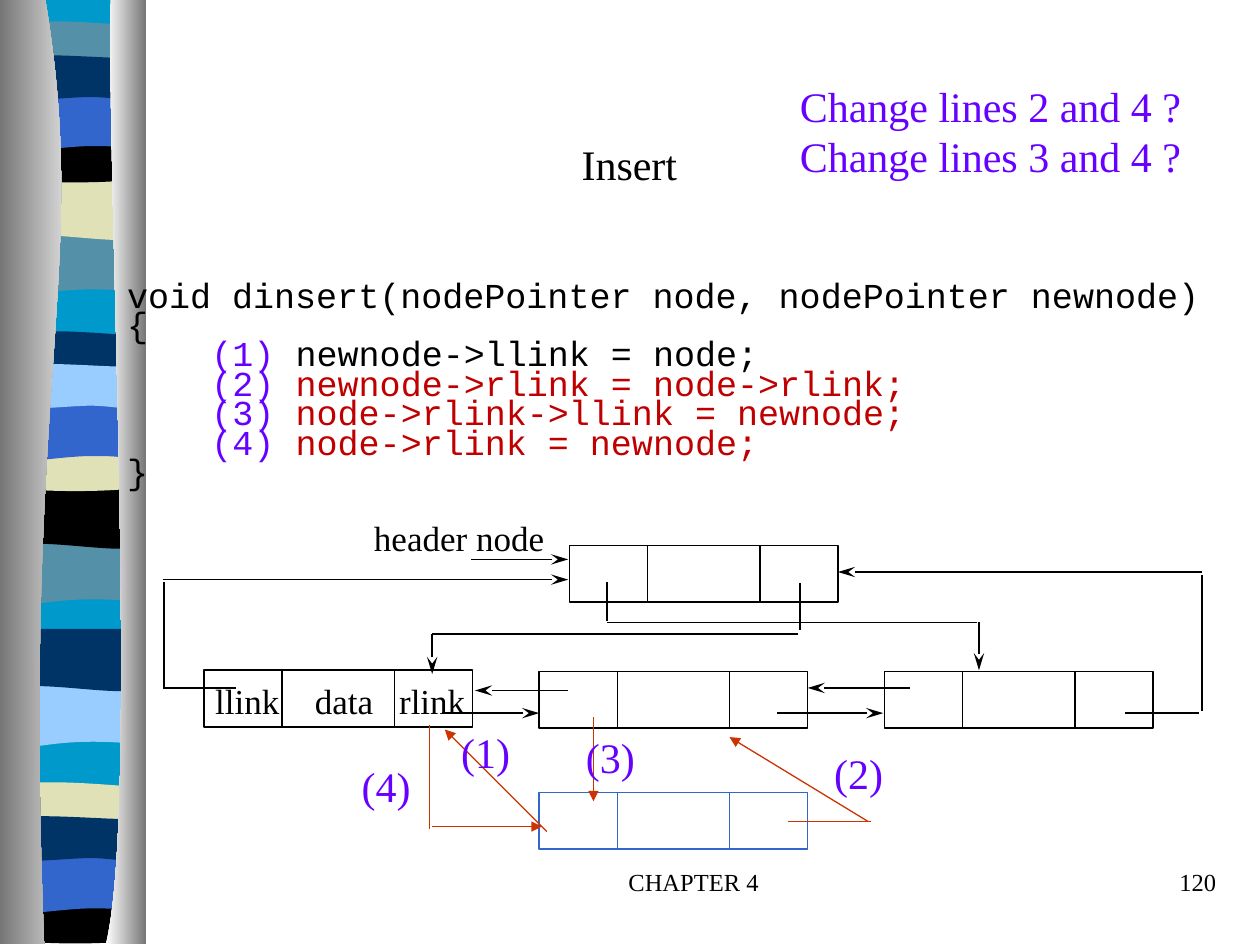
"""Build the slide on inserting a node into a doubly linked circular list."""
from lxml.etree import SubElement
from pptx import Presentation
from pptx.dml.color import RGBColor
from pptx.enum.shapes import MSO_CONNECTOR, MSO_SHAPE
from pptx.enum.text import MSO_ANCHOR, PP_ALIGN
from pptx.oxml.ns import qn
from pptx.util import Inches, Pt

BLACK = RGBColor(0x00, 0x00, 0x00)
WHITE = RGBColor(0xFF, 0xFF, 0xFF)
GRAY = RGBColor(0x76, 0x76, 0x76)
VIOLET = RGBColor(0x66, 0x00, 0xFF)
RED = RGBColor(0xC0, 0x00, 0x00)
RUST = RGBColor(0xCC, 0x33, 0x00)
CYAN = RGBColor(0x00, 0x99, 0xCC)
TEAL = RGBColor(0x54, 0x90, 0xA8)
CREAM = RGBColor(0xE1, 0xE1, 0xB7)
BLUE = RGBColor(0x33, 0x66, 0xCC)
NAVY = RGBColor(0x00, 0x33, 0x66)
SKY = RGBColor(0x99, 0xCC, 0xFF)

SERIF, MONO = "Times New Roman", "Courier New"
WIDTH, HEIGHT = Inches(10), Inches(7.5)
COLUMN, ROW = WIDTH / 10, HEIGHT / 7.5

LEFT, RIGHT = 0.05, 1.14
WAVES = [
    [(RIGHT, 0), (RIGHT, 0.47), (0.39, 0.39, 0.24, 0.55, LEFT, 0.47), (LEFT, 0)],
    [(RIGHT, 0), (RIGHT, 0.47), (0.96, 0.55, 0.39, 0.41, LEFT, 0.47), (LEFT, 0)],
    [(RIGHT, 0), (RIGHT, 0.24), (0.96, 0.29, 0.24, 0.29, LEFT, 0.24), (LEFT, 0),
     (0.12, -0.05, 0.29, -0.04, 0.47, -0.04), (0.65, -0.04, 1, -0.01, RIGHT, 0)],
    [(RIGHT, 0), (RIGHT, 0.33), (0.96, 0.38, 0.24, 0.38, LEFT, 0.33), (LEFT, 0),
     (0.72, 0.05, 0.91, 0, RIGHT, 0)],
    [(RIGHT, 0), (RIGHT, 0.47), (0.97, 0.42, 0.9, 0.42, 0.72, 0.42),
     (0.54, 0.42, 0.22, 0.47, LEFT, 0.47), (LEFT, 0)],
    [(RIGHT, 0), (RIGHT, 0.31), (1.07, 0.36, 0.9, 0.31, 0.72, 0.31),
     (0.54, 0.31, 0.17, 0.36, LEFT, 0.31), (LEFT, 0), (0.21, -0.05, 0.79, 0, 0.97, 0),
     (1.15, 0, 1.1, 0, RIGHT, 0)],
]
STRIPES = [
    [(1.85, TEAL), (1.41, CREAM), (0.21, TEAL), (1.08, BLACK), (0.74, BLUE), (0.46, NAVY)],
    [(4.31, TEAL), (3.86, BLACK), (2.67, NAVY), (3.53, CREAM), (3.2, BLUE), (2.91, SKY)],
    [(5.44, SKY), (4.99, NAVY), (6.25, CREAM), (7.12, BLACK), (6.79, BLUE), (6.5, NAVY)],
]
BACKDROP = [(RIGHT, 0), (RIGHT, 7.47), (LEFT, 7.47), (LEFT, 0)]
PILLARS = [
    ([(0.36, 0), (0.72, 2.16, 0.17, 2.96, 0.35, 7.49), (0, 7.49), (0, 0)], (GRAY, WHITE)),
    ([(0.88, 0), (0.84, 1.25, 1.11, 6.46, 0.84, 7.49), (1.16, 7.49), (1.16, 0)], (WHITE, GRAY)),
]

NODE_WIDTH, NODE_HEIGHT, DIVIDERS = 2.13, 0.45, (0.62, 1.51)
NODES = [(1.62, 5.32, BLACK), (4.28, 5.33, BLACK), (7.02, 5.33, BLACK),
         (4.52, 4.33, BLACK), (4.28, 6.29, BLUE)]
LINKS = [
    ((3.51, 5.66), (4.28, 5.66), True), ((4.51, 5.48), (3.77, 5.48), True),
    ((6.17, 5.66), (7.01, 5.66), True), ((7.22, 5.46), (6.41, 5.46), True),
    ((8.93, 5.66), (9.52, 5.66), False), ((9.54, 5.64), (9.54, 4.56), False),
    ((9.54, 4.54), (6.65, 4.54), True), ((1.87, 5.46), (1.29, 5.46), False),
    ((1.3, 5.46), (1.3, 4.62), False), ((1.29, 4.6), (4.51, 4.6), True),
    ((3.74, 4.44), (4.51, 4.44), True), ((6.35, 4.63), (6.35, 5), False),
    ((3.43, 5.03), (6.33, 5.03), False), ((3.43, 5.03), (3.43, 5.35), True),
    ((4.82, 4.62), (4.82, 4.93), False), ((4.82, 4.94), (7.75, 4.94), False),
    ((7.77, 4.94), (7.77, 5.32), True),
]
NEW_LINKS = [
    ((6.25, 6.52), (6.91, 6.52), False), ((6.89, 6.52), (5.79, 5.85), True),
    ((4.71, 5.69), (4.71, 6.36), True), ((4.34, 6.6), (3.53, 5.79), True),
    ((3.41, 5.75), (3.41, 6.58), False), ((3.43, 6.56), (4.3, 6.56), True),
]
STEALTH = {"type": "stealth", "w": "med", "len": "lg"}
TRIANGLE = {"type": "triangle"}

FIELDS = "llink\tdata\trlink"
FIELD_STOPS = (0.79, 1.46)
CODE_INDENT = 0.67
CODE = [
    [("void dinsert(nodePointer node, nodePointer newnode)", BLACK)],
    [("{", BLACK)],
    [("(1) ", VIOLET), ("newnode->llink = node;", BLACK)],
    [("(2) ", VIOLET), ("newnode->rlink = node->rlink;", RED)],
    [("(3) ", VIOLET), ("node->rlink->llink = newnode;", RED)],
    [("(4) ", VIOLET), ("node->rlink = newnode;", RED)],
    [("}", BLACK)],
]
CENTER, END, START = PP_ALIGN.CENTER, PP_ALIGN.RIGHT, PP_ALIGN.LEFT
TEXTS = [
    ((3.92, 6.83, 3.17, 0.5), ["CHAPTER 4"], 14, BLACK, CENTER, {}),
    ((7.67, 6.83, 2.08, 0.5), ["120"], 14, BLACK, END, {}),
    ((0.39, 0.67, 9.21, 1.25), ["Insert"], 24, BLACK, CENTER,
     {"vertical_anchor": MSO_ANCHOR.MIDDLE}),
    ((2.87, 4.05, 1.57, 0.44), ["header node"], 20, BLACK, START, {"word_wrap": False}),
    ((6.25, 0.59, 3.26, 0.91), ["Change lines 2 and 4 ?", "Change lines 3 and 4 ?"],
     24, VIOLET, START, {"word_wrap": False}),
]
STEPS = [("(2)", 6.52, 5.88), ("(4)", 2.77, 5.99), ("(1)", 3.56, 5.72), ("(3)", 4.55, 5.76)]


def place(left, top, *size):
    return [round(value * unit) for value, unit in zip((left, top, *size), (COLUMN, ROW) * 2)]


def set_all(target, values):
    for attribute, value in values.items():
        setattr(target, attribute, value)


def bend(band, segments):
    """Join the three points of each six-number segment into one cubic curve."""
    legs = iter(list(band._element.iter(qn("a:lnTo"))))
    for segment in segments:
        group = [next(legs) for _ in range(len(segment) // 2)]
        if len(group) == 3:
            group[0].tag = qn("a:cubicBezTo")
            for leg in group[1:]:
                group[0].append(leg[0])
                leg.getparent().remove(leg)


def add_outline(shapes, outline, colors, top=0):
    start, *segments = outline
    points = [place(segment[i], segment[i + 1] + top)
              for segment in segments for i in range(0, len(segment), 2)]
    builder = shapes.build_freeform(*place(start[0], start[1] + top), scale=1.0)
    builder.add_line_segments(points, close=True)
    band = builder.convert_to_shape()
    bend(band, segments)
    band.shadow.inherit = False
    band.line.fill.background()
    if len(colors) == 1:
        band.fill.solid()
        band.fill.fore_color.rgb = colors[0]
        return
    band.fill.gradient()
    band.fill.gradient_angle = 0
    for stop, color in zip(band.fill.gradient_stops, colors):
        stop.color.rgb = color


def add_line(shapes, start, end, color, width=1, arrow=None):
    link = shapes.add_connector(MSO_CONNECTOR.STRAIGHT, *place(*start), *place(*end))
    link.line.color.rgb = color
    link.line.width = Pt(width)
    properties = link.line._get_or_add_ln()
    if arrow:
        SubElement(properties, qn("a:tailEnd"), arrow)
    SubElement(properties.getparent(), qn("a:effectLst"))


def add_node(shapes, left, top, color):
    node = shapes.add_shape(MSO_SHAPE.RECTANGLE, *place(left, top, NODE_WIDTH, NODE_HEIGHT))
    node.shadow.inherit = False
    node.fill.background()
    node.line.color.rgb = color
    node.line.width = Pt(1)
    for offset in DIVIDERS:
        x = left + offset
        add_line(shapes, (x, top), (x, top + NODE_HEIGHT), color)


def add_text(shapes, box, lines, size, align=START, frame=None, font=SERIF, spacing=None):
    text = shapes.add_textbox(*place(*box)).text_frame
    set_all(text, {"word_wrap": True, **(frame or {})})
    for number, line in enumerate(lines):
        paragraph = text.add_paragraph() if number else text.paragraphs[0]
        set_all(paragraph, {"alignment": align, "line_spacing": spacing})
        for words, color in line:
            run = paragraph.add_run()
            run.text = words
            set_all(run.font, {"name": font, "size": Pt(size)})
            run.font.color.rgb = color
    return text.paragraphs


def main():
    deck = Presentation()
    set_all(deck, {"slide_width": WIDTH, "slide_height": HEIGHT})
    shapes = deck.slides.add_slide(deck.slide_layouts[6]).shapes

    add_outline(shapes, BACKDROP, [CYAN])
    for stripes in STRIPES:
        for wave, (top, color) in zip(WAVES, stripes):
            add_outline(shapes, wave, [color], top)
    for outline, colors in PILLARS:
        add_outline(shapes, outline, colors)

    for node in NODES:
        add_node(shapes, *node)
    for links, color, width, head in ((LINKS, BLACK, 1, STEALTH),
                                      (NEW_LINKS, RUST, 0.75, TRIANGLE)):
        for start, end, pointed in links:
            add_line(shapes, start, end, color, width, head if pointed else None)

    for box, lines, size, color, align, frame in TEXTS:
        add_text(shapes, box, [[(line, color)] for line in lines], size, align, frame)
    for step, left, top in STEPS:
        add_text(shapes, (left, top, 0.59, 0.5), [[(step, VIOLET)]], 24, CENTER,
                 {"word_wrap": False})

    code = add_text(shapes, (0.91, 2.21, 9.09, 2.15), CODE, 20, font=MONO, spacing=0.7)
    for paragraph in code[2:-1]:
        paragraph._p.get_or_add_pPr().set("marL", str(Inches(CODE_INDENT)))

    fields = add_text(shapes, (1.61, 5.34, 2.2, 0.44), [[(FIELDS, BLACK)]], 20,
                      frame={"margin_right": 0})
    stops = SubElement(fields[0]._p.get_or_add_pPr(), qn("a:tabLst"))
    for stop in FIELD_STOPS:
        SubElement(stops, qn("a:tab"), pos=str(Inches(stop)), algn="l")

    deck.save("out.pptx")


if __name__ == "__main__":
    main()
